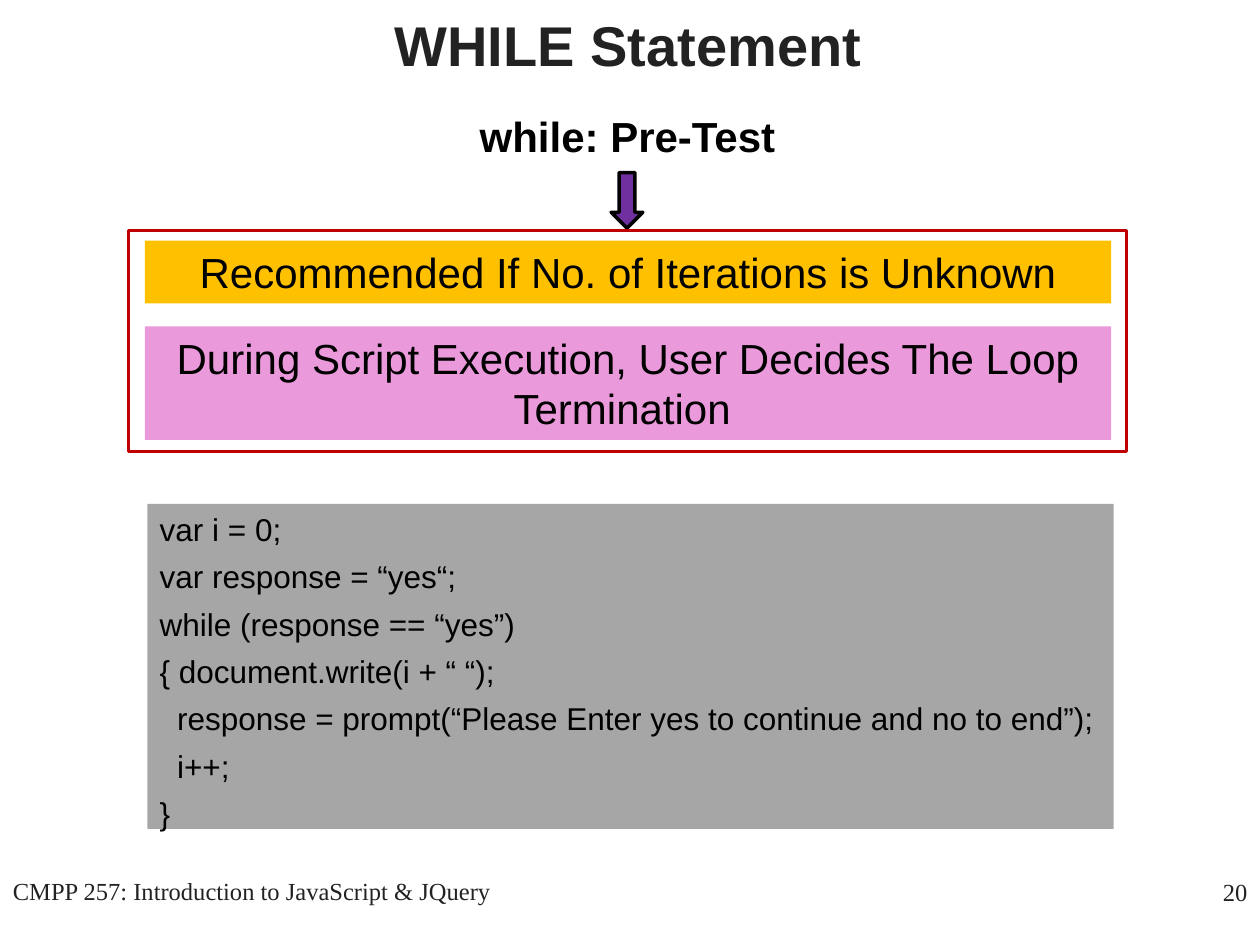
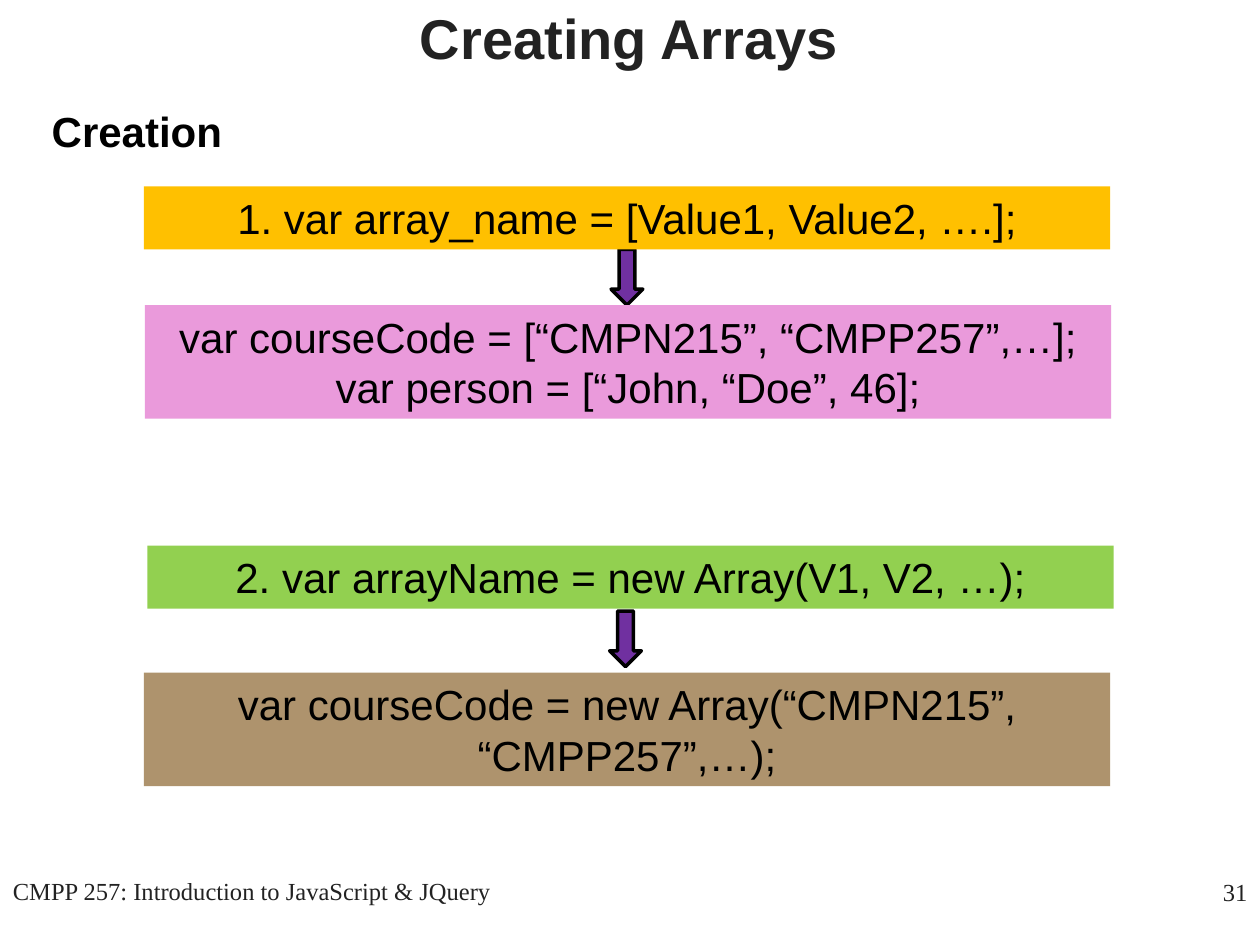
"""Builds two slides on JavaScript loops and arrays."""
from lxml import etree
from pptx import Presentation
from pptx.dml.color import RGBColor
from pptx.enum.shapes import MSO_SHAPE
from pptx.enum.text import MSO_ANCHOR, MSO_AUTO_SIZE, PP_ALIGN
from pptx.oxml.ns import qn
from pptx.util import Cm, Pt

RECT, DOWN = MSO_SHAPE.RECTANGLE, MSO_SHAPE.DOWN_ARROW
LEFT, MID, RIGHT = PP_ALIGN.LEFT, PP_ALIGN.CENTER, PP_ALIGN.RIGHT
CENTER, TOP, FIXED = MSO_ANCHOR.MIDDLE, MSO_ANCHOR.TOP, MSO_AUTO_SIZE.NONE

HUES = {
    "ink": "000000", "dark": "222222", "gold": "FFC000", "pink": "EA9ADB",
    "gray": "A6A6A6", "green": "92D050", "brown": "886128",
    "arrow": "7030A0", "frame": "C00000",
}
SANS, SERIF = "Arial", "Times New Roman"
COURSE = "CMPP 257: Introduction to JavaScript & JQuery"
WIDE, ONE, TWO = 19.48, 1.27, 2.29

SLIDES = [
    {
        "title": ("WHILE Statement", 1.45, -0.71),
        "page": "20",
        "head": ("while: Pre-Test", 8.84, 2.11, 7.62),
        "arrows": [(12.32, 3.48)],
        "bars": [
            ("Recommended If No. of Iterations is Unknown",
             "gold", 2.92, 4.85, ONE),
            ("During Script Execution, User Decides The Loop Termination ",
             "pink", 2.92, 6.58, TWO),
        ],
        "code": [
            "var i = 0;",
            "var response = “yes“;",
            "while (response == “yes”)",
            "{ document.write(i + “ “);",
            "  response = prompt(“Please Enter yes to continue and no to end”);",
            "  i++;",
            "}",
        ],
        "frame": (2.59, 4.65, 20.12, 4.45),
    },
    {
        "title": ("Creating Arrays", 1.47, -0.84),
        "page": "31",
        "head": ("Creation", 0.64, 2.01, 4.24),
        "arrows": [(12.32, 5.03), (12.29, 12.32)],
        "bars": [
            ("1. var array_name = [Value1, Value2, ….];",
             "gold", 2.9, 3.76, ONE),
            ("var courseCode = [“CMPN215”, “CMPP257”,…];\n"
             "var person = [“John, “Doe”, 46];",
             "pink", 2.92, 6.15, TWO),
            ("2. var arrayName = new Array(V1, V2, …);",
             "green", 2.97, 11, ONE),
            ("var courseCode = new Array(“CMPN215”, “CMPP257”,…);",
             "brown", 2.9, 13.56, TWO),
        ],
    },
]


def hue(name):
    return RGBColor.from_string(HUES[name])


def write(shape, text, size, align=MID, face=SANS, tint="ink",
          bold=False, gap=0, anchor=TOP):
    frame = shape.text_frame
    frame.text = text
    frame.word_wrap = True
    frame.auto_size = FIXED
    frame.vertical_anchor = anchor
    for rank, para in enumerate(frame.paragraphs):
        para.alignment = align
        para.space_before = Pt(gap if rank else 0)
        font = para.font
        font.name, font.size, font.bold = face, Pt(size), bold
        font.color.rgb = hue(tint)


def label(slide, box, text, size, **style):
    write(slide.shapes.add_textbox(*map(Cm, box)), text, size, **style)


def draw(slide, kind, box, fill=None, line=None):
    shape = slide.shapes.add_shape(kind, *map(Cm, box))
    shape.shadow.inherit = False
    if fill:
        shape.fill.solid()
        shape.fill.fore_color.rgb = hue(fill)
    else:
        shape.fill.background()
    if line:
        shape.line.color.rgb = hue(line)
        shape.line.width = Pt(2)
    else:
        shape.line.fill.background()
    return shape


def fade(shape, share):
    tint = shape.fill._xPr.find(".//" + qn("a:srgbClr"))
    etree.SubElement(tint, qn("a:alpha")).set("val", str(share * 1000))


def build(deck, data):
    slide = deck.slides.add_slide(deck.slide_layouts[5])
    for x, y in data["arrows"]:
        draw(slide, DOWN, (x, y, 0.64, 1.12), "arrow", "ink")
    label(slide, (20.12, 17.55, 5.28, 1.27), data["page"], 14,
          align=RIGHT, face=SERIF, tint="dark")
    label(slide, (0, 17.53, 10.16, 1.27), COURSE, 14, face=SERIF, tint="dark")
    text, x, y, wide = data["head"]
    label(slide, (x, y, wide, ONE), text, 24, bold=True)
    for text, fill, x, y, high in data["bars"]:
        bar = draw(slide, RECT, (x, y, WIDE, high), fill)
        write(bar, text, 24)
        if fill == "brown":
            fade(bar, 68)
    if "code" in data:
        block = draw(slide, RECT, (2.97, 10.16, WIDE, 6.55), "gray")
        write(block, "\n".join(data["code"]), 18, align=LEFT, gap=5.4)
    if "frame" in data:
        draw(slide, RECT, data["frame"], line="frame")
    text, x, y = data["title"]
    title = slide.shapes.title
    title.left, title.top, title.width, title.height = map(
        Cm, (x, y, 22.43, 3.18))
    write(title, text, 32, tint="dark", bold=True, anchor=CENTER)


def main():
    deck = Presentation()
    deck.slide_width, deck.slide_height = Cm(25.4), Cm(19.05)
    for data in SLIDES:
        build(deck, data)
    deck.save("out.pptx")


if __name__ == "__main__":
    main()
